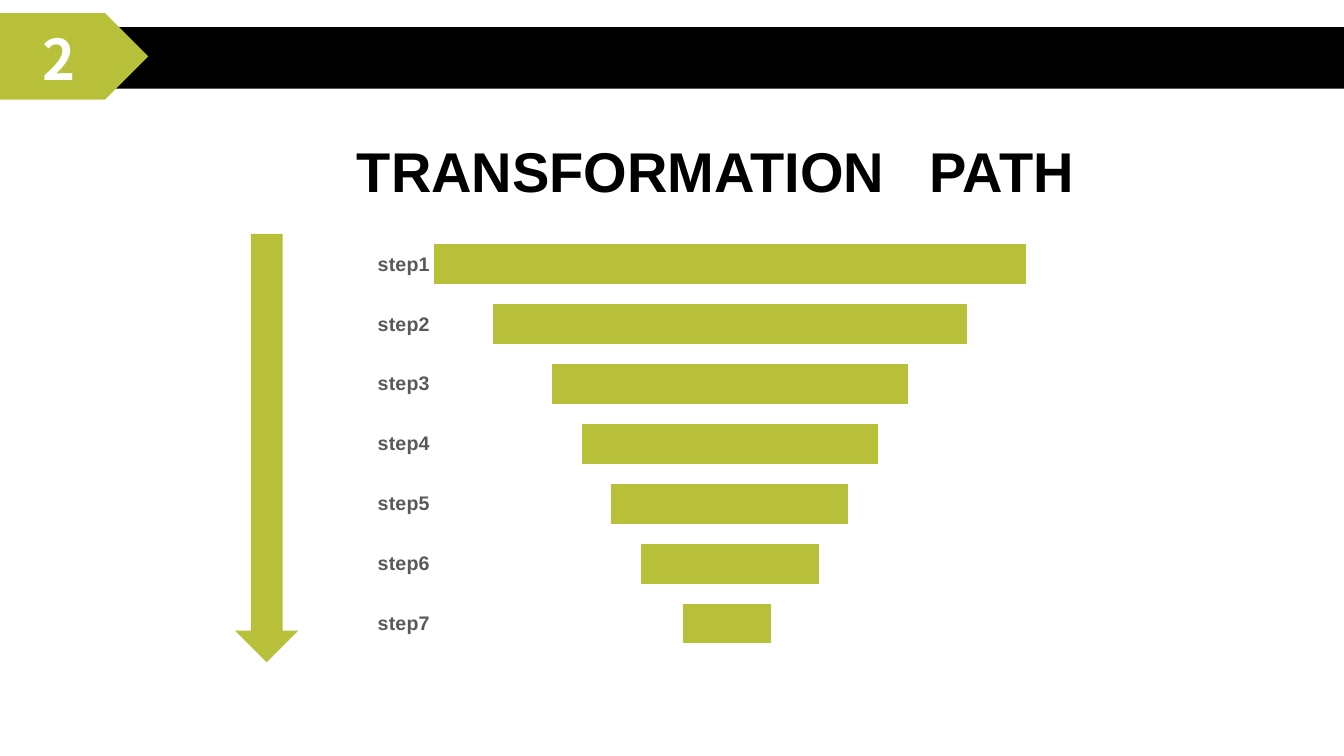
"""Build the transformation path slide with its funnel chart."""
from lxml.etree import SubElement
from pptx import Presentation
from pptx.chart.data import CategoryChartData
from pptx.dml.color import RGBColor
from pptx.enum.chart import XL_CHART_TYPE, XL_TICK_LABEL_POSITION, XL_TICK_MARK
from pptx.enum.shapes import MSO_SHAPE
from pptx.enum.text import MSO_ANCHOR, PP_ALIGN
from pptx.oxml import parse_xml
from pptx.oxml.ns import nsdecls, qn
from pptx.util import Inches, Pt

GREEN, BLACK, WHITE, GRAY = "B8C039", "000000", "FFFFFF", "595959"


def color(h):
    return RGBColor.from_string(h)


def style(font, h, **values):
    font.color.rgb = color(h)
    for name, value in values.items():
        setattr(font, name, value)


prs = Presentation()
prs.slide_width, prs.slide_height = Inches(13.33), Inches(7.5)
s = prs.slides.add_slide(prs.slide_layouts[5])

for kind, box, fill in [
    (MSO_SHAPE.RECTANGLE, (0, 0.27, 13.33, 0.61), BLACK),
    (MSO_SHAPE.PENTAGON, (0, 0.13, 1.47, 0.86), GREEN),
    (MSO_SHAPE.DOWN_ARROW, (2.33, 2.32, 0.63, 4.25), GREEN),
]:
    sp = s.shapes.add_shape(kind, *map(Inches, box))
    sp.shadow.inherit = False
    sp.fill.solid()
    sp.fill.fore_color.rgb = color(fill)
    sp.line.fill.background()

number = s.shapes.add_textbox(*map(Inches, (0.32, 0.19, 0.55, 0.77)))
title = s.shapes.title
title.left, title.top, title.width, title.height = map(Inches, (3.44, 1.3, 7.4, 0.77))
tabs = SubElement(title.text_frame.paragraphs[0]._p.get_or_add_pPr(), qn("a:tabLst"))
SubElement(tabs, qn("a:tab"), pos=str(Inches(5.68)), algn="l")

for sp, text, font, fill in [
    (number, "2", "Noto Sans CJK SC", WHITE),
    (title, "TRANSFORMATION\tPATH", "Arial", BLACK),
]:
    tf = sp.text_frame
    tf.word_wrap = True
    tf.vertical_anchor = MSO_ANCHOR.MIDDLE
    p = tf.paragraphs[0]
    p.alignment = PP_ALIGN.LEFT
    r = p.add_run()
    r.text = text
    style(r.font, fill, name=font, size=Pt(40), bold=True)

widths = [100, 80, 60, 50, 40, 30, 15]
data = CategoryChartData(number_format="0_ ")
data.categories = [f"step{i}" for i in range(1, len(widths) + 1)]
data.add_series("Series 1", [(100 - w) // 2 for w in widths])
data.add_series("Series 2", widths)
chart = s.shapes.add_chart(
    XL_CHART_TYPE.BAR_STACKED, *map(Inches, (3.59, 2.24, 7.92, 4.33)), data
).chart
chart.has_legend = chart.has_title = False
style(chart.font, BLACK, name="Arial", size=Pt(10))

cat = chart.category_axis
cat.reverse_order = True
cat.major_tick_mark = cat.minor_tick_mark = XL_TICK_MARK.NONE
cat.tick_label_position = XL_TICK_LABEL_POSITION.NEXT_TO_AXIS
cat.has_major_gridlines = False
cat.format.line.fill.background()
style(cat.tick_labels.font, GRAY, name="Arial", size=Pt(14), bold=True)

val = chart.value_axis
val.minimum_scale, val.maximum_scale = 0, 120
val.major_tick_mark = val.minor_tick_mark = XL_TICK_MARK.NONE
val.has_major_gridlines = False
val.visible = False

plot = chart.plots[0]
plot.gap_width, plot.overlap, plot.vary_by_categories = 50, 100, False
spacer, bars = plot.series
spacer.format.fill.background()
bars.format.fill.solid()
bars.format.fill.fore_color.rgb = color(GREEN)

area = chart._chartSpace.chart.plotArea
for old in area.findall(qn("c:layout")):
    area.remove(old)
area.insert(0, parse_xml(
    f'<c:layout {nsdecls("c")}><c:manualLayout><c:layoutTarget val="inner"/>'
    '<c:xMode val="edge"/><c:yMode val="edge"/><c:x val="0.09"/><c:y val="0.02"/>'
    '<c:w val="0.89"/><c:h val="0.96"/></c:manualLayout></c:layout>'
))

prs.save("out.pptx")
